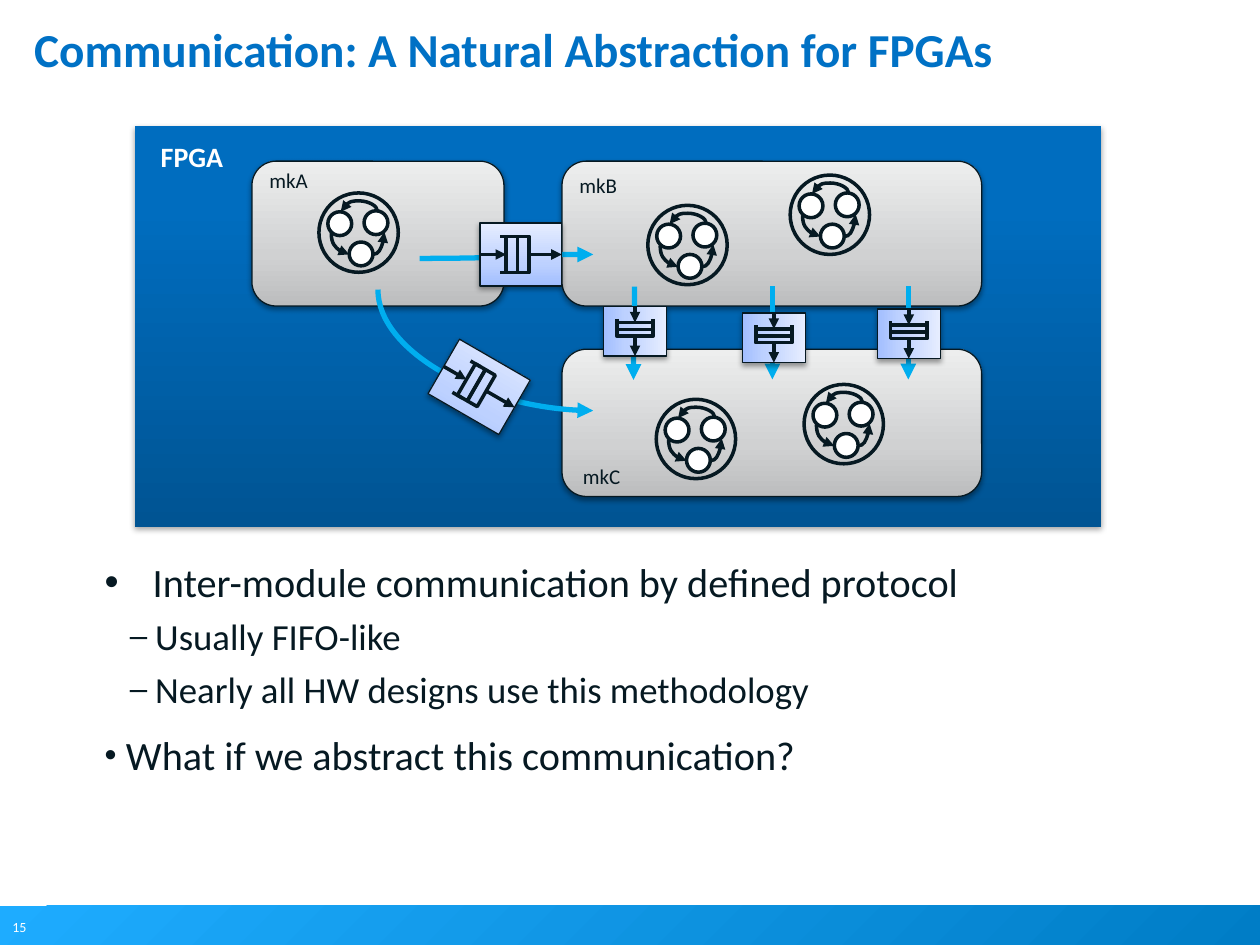
import math
from dataclasses import dataclass

from lxml import etree
from pptx import Presentation
from pptx import util as u
from pptx.dml import color
from pptx.enum import shapes, text
from pptx.oxml import ns


@dataclass(frozen=True)
class Theme:
    font: str = "Calibri"
    ink: str = "061922"
    white: str = "FFFFFF"
    title: str = "0071C5"
    flow: str = "00AEEF"
    footer: tuple = ((0, "1EACFF"), (100, "007DC6"))
    chip: tuple = ((0, "005493"), (80, "006DBF"), (100, "006EC0"))
    module: tuple = ((0, "BCBDBE"), (35, "D0D1D2"), (100, "EDEEEE"))
    fifo: tuple = ((0, "A2BEFF"), (35, "BDD1FF"), (100, "E6EDFF"))
    title_size: int = 27
    body_size: int = 23
    sub_size: int = 21
    chip_size: int = 16
    label_size: int = 12
    number_size: int = 8
    outline: float = 0.75
    stroke: float = 2
    flow_stroke: float = 3


THEME = Theme()
SHAPE = shapes.MSO_SHAPE


def rgb(value):
    return color.RGBColor.from_string(value)


def add_node(parent, tag, **attributes):
    node = etree.SubElement(parent, ns.qn(tag))
    for name, value in attributes.items():
        node.set(name, str(value))
    return node


def add_box(page, kind, left, top, width, height, fill=None, line=None, weight=THEME.stroke):
    box = page.shapes.add_shape(kind, u.Cm(left), u.Cm(top), u.Cm(width), u.Cm(height))
    box.shadow.inherit = False
    if fill:
        box.fill.solid()
        box.fill.fore_color.rgb = rgb(fill)
    else:
        box.fill.background()
    if line:
        box.line.color.rgb = rgb(line)
        box.line.width = u.Pt(weight)
    else:
        box.line.fill.background()
    return box


def add_gradient(box, stops, angle=90):
    box.fill.gradient()
    box.fill.gradient_angle = angle
    stop_list = box.element.spPr.find(".//" + ns.qn("a:gsLst"))
    for old in list(stop_list):
        stop_list.remove(old)
    for position, value in stops:
        stop = add_node(stop_list, "a:gs", pos=position * 1000)
        add_node(stop, "a:srgbClr", val=value)


def add_shadow(box, opacity=38, distance=1.6):
    effects = box.element.spPr.find(ns.qn("a:effectLst"))
    shadow = add_node(effects, "a:outerShdw", blurRad=u.Pt(3.1), dist=u.Pt(distance),
                      dir=5400000, rotWithShape=0)
    add_node(add_node(shadow, "a:srgbClr", val="000000"), "a:alpha", val=opacity * 1000)


def add_line(page, start, end, paint=THEME.ink, weight=THEME.stroke, head=False, tail=False,
             preset=None, turn=0, bend=None):
    """Draw a connector; preset names a curved geometry, turn rotates it, bend is its adjustment."""
    kind = shapes.MSO_CONNECTOR.CURVE if preset else shapes.MSO_CONNECTOR.STRAIGHT
    line = page.shapes.add_connector(kind, *(u.Cm(value) for value in (*start, *end)))
    line.line.color.rgb = rgb(paint)
    line.line.width = u.Pt(weight)
    properties = line.element.spPr
    stroke = properties.find(ns.qn("a:ln"))
    if head:
        add_node(stroke, "a:headEnd", type="triangle")
    if tail:
        add_node(stroke, "a:tailEnd", type="triangle")
    add_node(properties, "a:effectLst")
    if preset:
        geometry = properties.find(ns.qn("a:prstGeom"))
        geometry.set("prst", preset)
        if bend is not None:
            add_node(geometry.find(ns.qn("a:avLst")), "a:gd", name="adj1",
                     fmla=f"val {round(bend * 100000)}")
    if turn:
        properties.find(ns.qn("a:xfrm")).set("rot", str(turn * 60000))
    return line


def add_text_box(page, left, top, width, height, inset=True, wrap=True):
    frame = page.shapes.add_textbox(u.Cm(left), u.Cm(top), u.Cm(width), u.Cm(height)).text_frame
    frame.word_wrap = wrap
    if not inset:
        frame.margin_left = frame.margin_top = frame.margin_right = frame.margin_bottom = 0
    return frame


def write(para, words, size, paint=THEME.ink, bold=False, align=None, before=0, spacing=None):
    span = para.add_run()
    span.text = words
    span.font.name = THEME.font
    span.font.size = u.Pt(size)
    span.font.bold = bold
    span.font.color.rgb = rgb(paint)
    para.alignment = align
    para.space_before = u.Pt(before)
    if spacing:
        para.line_spacing = u.Pt(spacing)


def add_bullet(para, mark, margin, hang, scale=100):
    properties = para._p.get_or_add_pPr()
    properties.set("marL", str(u.Cm(margin)))
    properties.set("indent", str(-u.Cm(hang)))
    add_node(add_node(properties, "a:buClr"), "a:srgbClr", val=THEME.ink)
    add_node(properties, "a:buSzPct", val=scale * 1000)
    add_node(properties, "a:buFont", typeface="Arial")
    add_node(properties, "a:buChar", char=mark)


def add_module(page, left, top, width, height):
    box = add_box(page, SHAPE.ROUNDED_RECTANGLE, left, top, width, height,
                  line=THEME.ink, weight=THEME.outline)
    add_gradient(box, THEME.module)
    add_shadow(box)


def add_fifo(page, x, y, length=1.65, angle=0):
    """Draw a queue centred on (x, y) whose data runs along angle."""
    group = page.shapes.add_group_shape()
    cosine, sine = math.cos(math.radians(angle)), math.sin(math.radians(angle))
    depth, cell_depth = 1.27, 0.73

    def point(along, across=0):
        """Turn a share of the length and a sideways distance into a place on the page."""
        along *= length
        return x + along * cosine - across * sine, y + along * sine + across * cosine

    def turned_box(along, width, height, **style):
        centre_x, centre_y = point(along)
        box = add_box(group, SHAPE.RECTANGLE, centre_x - width / 2, centre_y - height / 2,
                      width, height, line=THEME.ink, **style)
        box.rotation = angle
        return box

    body = turned_box(0, length, depth, weight=THEME.outline)
    add_gradient(body, THEME.fifo)
    add_shadow(body)
    entry = add_line(group, point(-0.5), point(-0.18), tail=True)
    leaving = add_line(group, point(0.1), point(0.5), tail=True)
    if angle == 0:
        entry.begin_connect(body, 1)
        leaving.end_connect(body, 3)
    for along in (-0.11, 0.03):
        turned_box(along, 0.14 * length, cell_depth)
    for side in (-cell_depth / 2, cell_depth / 2):
        add_line(group, point(-0.25, side), point(-0.11, side))


def add_state_machine(page, left, top):
    group = page.shapes.add_group_shape()
    add_box(group, SHAPE.OVAL, left, top, 1.6, 1.6, line=THEME.ink)
    for x, y in ((0.61, 0.99), (0.18, 0.38), (0.91, 0.36)):
        add_box(group, SHAPE.OVAL, left + x, top + y, 0.48, 0.48,
                fill=THEME.white, line=THEME.ink)
    arcs = (
        ((1.09, 1.24), (1.32, 0.79), dict(tail=True, preset="curvedConnector2")),
        ((0.61, 1.24), (0.25, 0.81), dict(head=True, preset="curvedConnector2")),
        ((0.82, 0.74), (0.8, 0), dict(tail=True, preset="curvedConnector3", turn=270, bend=-10)),
    )
    for (x1, y1), (x2, y2), style in arcs:
        add_line(group, (left + x1, top + y1), (left + x2, top + y2), **style)


def add_flows(page):
    style = dict(paint=THEME.flow, weight=THEME.flow_stroke)
    add_line(page, (11.96, 5.13), (8.46, 5.21), head=True, preset="curvedConnector3", **style)
    add_line(page, (11.96, 8.28), (7.62, 5.84), head=True, preset="curvedConnector2", **style)
    add_line(page, (11.84, 6.71), (13.72, 6.73), tail=True, preset="curvedConnector3",
             turn=90, **style)
    for x in (15.57, 18.31):
        add_line(page, (x, 5.77), (x, 7.65), tail=True, **style)


def add_diagram(page):
    chip = add_box(page, SHAPE.RECTANGLE, 2.72, 2.54, 19.48, 8.08)
    add_gradient(chip, THEME.chip)
    add_shadow(chip, opacity=35, distance=1.8)
    for place in ((5.08, 3.25, 5.08, 2.92), (11.33, 3.25, 8.46, 2.92), (11.33, 7.04, 8.46, 2.97)):
        add_module(page, *place)
    name = add_text_box(page, 2.97, 2.69, 1.8, 0.94, wrap=False)
    write(name.paragraphs[0], "FPGA", THEME.chip_size, THEME.white, bold=True,
          align=text.PP_ALIGN.CENTER)
    for label, left, top in (("mkA", 5.18, 3.25), ("mkB", 11.43, 3.35), ("mkC", 11.5, 9.22)):
        frame = add_text_box(page, left, top, 1.3, 0.76, wrap=False)
        write(frame.paragraphs[0], label, THEME.label_size)
    add_flows(page)
    add_fifo(page, 10.5, 5.13)
    add_fifo(page, 9.66, 7.8, angle=30)
    for x, y in ((12.8, 6.68), (15.6, 6.81), (18.32, 6.73)):
        add_fifo(page, x, y, length=1, angle=90)
    for place in ((6.43, 3.89), (13.06, 4.14), (13.23, 8.05), (15.93, 3.53), (16.21, 7.75)):
        add_state_machine(page, *place)


def add_body(page):
    frame = add_text_box(page, 2.11, 11.23, 21.64, 7.11, inset=False)
    sub_bullet = ("–", 1.02, 0.51, 85)
    points = (
        ("Inter-module communication by defined protocol", THEME.body_size, 0, 0, ("•", 0.97, 0.97)),
        ("Usually FIFO-like", THEME.sub_size, 5, 2, sub_bullet),
        ("Nearly all HW designs use this methodology", THEME.sub_size, 5, 2, sub_bullet),
        ("What if we abstract this communication?", THEME.body_size, 11, 1, ("•", 0.43, 0.43, 85)),
    )
    for index, (words, size, before, level, bullet) in enumerate(points):
        para = frame.add_paragraph() if index else frame.paragraphs[0]
        para.level = level
        write(para, words, size, before=before)
        add_bullet(para, *bullet)


def add_footer(page):
    band = add_box(page, SHAPE.RECTANGLE, 0, 18.26, 25.4, 0.81)
    add_gradient(band, THEME.footer, angle=315)
    number = add_text_box(page, 0, 18.39, 0.79, 0.61, wrap=False)
    write(number.paragraphs[0], "15", THEME.number_size, THEME.white)


def main():
    deck = Presentation()
    deck.slide_width, deck.slide_height = u.Cm(25.4), u.Cm(19.05)
    page = deck.slides.add_slide(deck.slide_layouts[6])
    add_footer(page)
    title = add_text_box(page, 0.69, 0.64, 25.93, 3.18, inset=False)
    write(title.paragraphs[0], "Communication: A Natural Abstraction for FPGAs",
          THEME.title_size, THEME.title, bold=True, spacing=26)
    add_diagram(page)
    add_body(page)
    deck.save("out.pptx")


if __name__ == "__main__":
    main()
